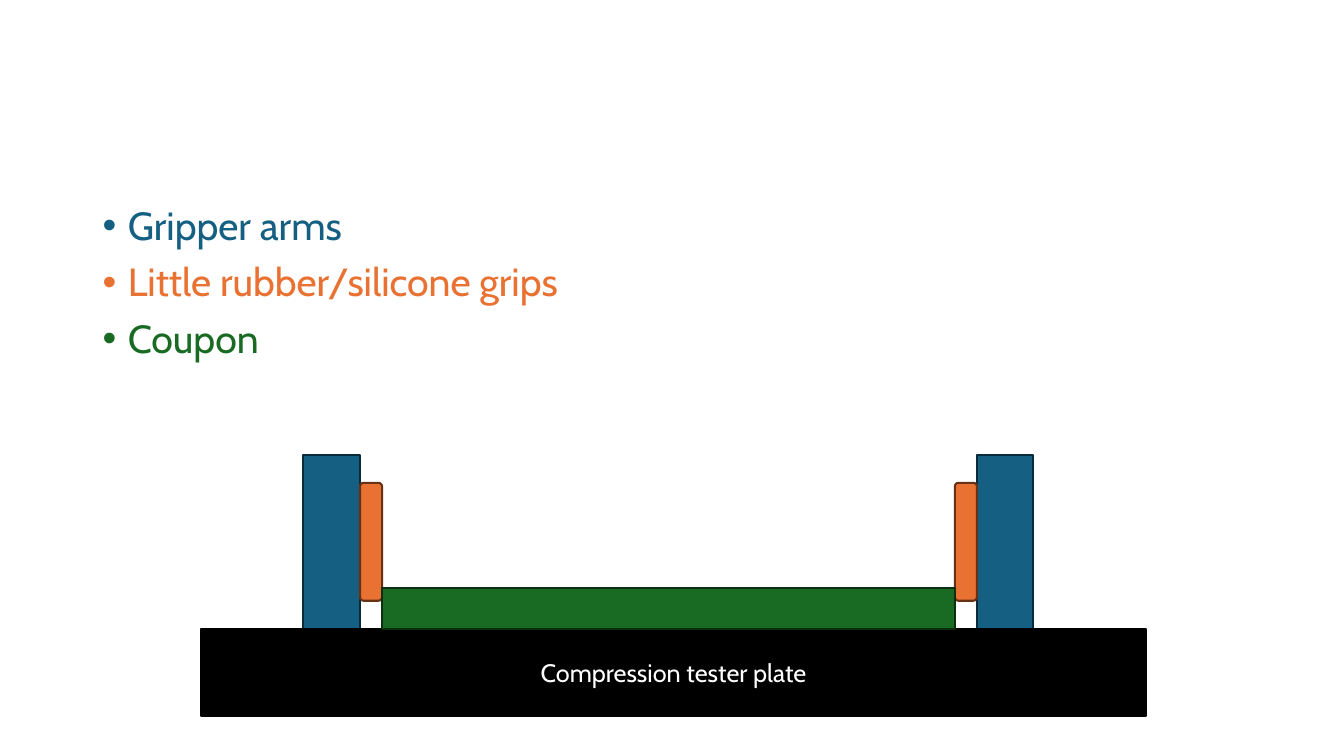
from lxml import etree
from pptx import Presentation
from pptx.dml.color import RGBColor
from pptx.enum.shapes import MSO_SHAPE
from pptx.enum.text import MSO_ANCHOR, PP_ALIGN
from pptx.oxml.ns import qn
from pptx.util import Inches, Pt

RECT, ROUNDED = MSO_SHAPE.RECTANGLE, MSO_SHAPE.ROUNDED_RECTANGLE
MIDDLE, CENTER = MSO_ANCHOR.MIDDLE, PP_ALIGN.CENTER
FONT = "Cabin"
COLORS = {
    "arm": "156082", "arm_line": "092A39",
    "grip": "E97132", "grip_line": "663216",
    "coupon": "196B24", "coupon_line": "0B2F10",
    "plate": "000000", "plate_line": "000000",
    "label": "FFFFFF",
}


def add_part(name, kind, left, top, width, height):
    sp = s.shapes.add_shape(kind, Inches(left), Inches(top), Inches(width), Inches(height))
    sp.shadow.inherit = False
    sp.fill.solid()
    sp.fill.fore_color.rgb = RGBColor.from_string(COLORS[name])
    sp.line.color.rgb = RGBColor.from_string(COLORS[name + "_line"])
    sp.line.width = Pt(1.5)
    return sp


def format_run(r, size, color):
    r.font.name = FONT
    r.font.size = Pt(size)
    r.font.color.rgb = RGBColor.from_string(COLORS[color])


prs = Presentation()
prs.slide_width, prs.slide_height = Inches(13.33), Inches(7.5)
s = prs.slides.add_slide(prs.slide_layouts[6])

legend = [("Gripper arms", "arm"), ("Little rubber/silicone grips", "grip"), ("Coupon", "coupon")]
tf = s.shapes.add_textbox(Inches(0.92), Inches(2), Inches(11.5), Inches(4.76)).text_frame
tf.word_wrap = True
tf.text = "\n".join(text for text, color in legend)
for p, (text, color) in zip(tf.paragraphs, legend):
    p.line_spacing = 0.9
    p.space_before = Pt(10)
    pPr = p._p.get_or_add_pPr()
    pPr.set("marL", str(Inches(0.25)))
    pPr.set("indent", str(-Inches(0.25)))
    etree.SubElement(pPr, qn("a:buFont"), typeface="Arial")
    etree.SubElement(pPr, qn("a:buChar"), char="•")
    format_run(p.runs[0], 28, color)

plate_top = 6.24
arm_w, arm_h = 0.56, 1.73
grip_w, grip_h = 0.22, 1.17
coupon_left, coupon_w, coupon_h = 3.79, 5.68, 0.41
coupon_right = coupon_left + coupon_w
arm_top = plate_top - arm_h
grip_top = arm_top + (arm_h - grip_h) / 2

for arm_left, grip_left in [
    (coupon_left - grip_w - arm_w, coupon_left - grip_w),
    (coupon_right + grip_w, coupon_right),
]:
    add_part("arm", RECT, arm_left, arm_top, arm_w, arm_h)
    add_part("grip", ROUNDED, grip_left, grip_top, grip_w, grip_h)

plate = add_part("plate", RECT, 1.99, plate_top, 9.38, 0.86)
tf = plate.text_frame
tf.text = "Compression tester plate"
tf.vertical_anchor = MIDDLE
p = tf.paragraphs[0]
p.alignment = CENTER
format_run(p.runs[0], 18, "label")

add_part("coupon", RECT, coupon_left, plate_top - coupon_h, coupon_w, coupon_h)

prs.save("out.pptx")
